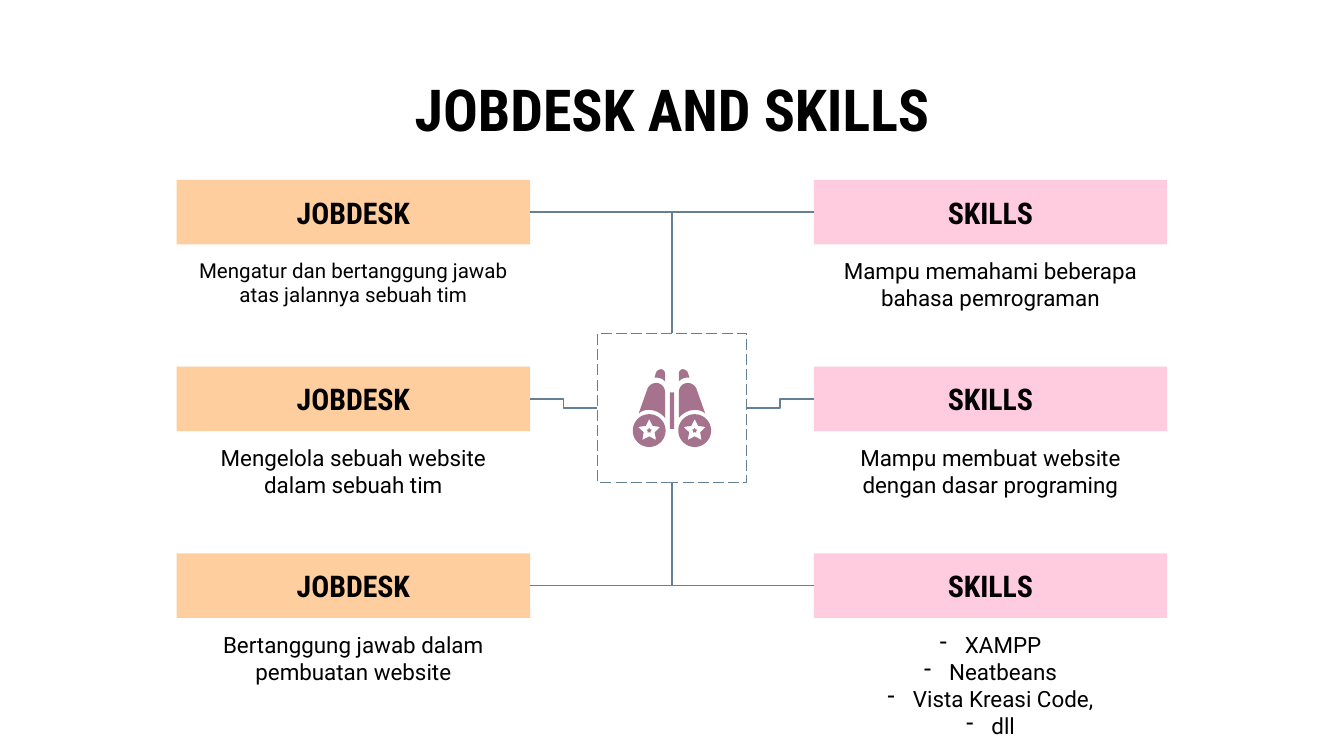
import math

import pptx
import pptx.dml.color
import pptx.enum.dml
import pptx.enum.shapes
import pptx.enum.text
import pptx.oxml
import pptx.oxml.ns
import pptx.util

Cm = pptx.util.Cm
Pt = pptx.util.Pt
RGB = pptx.dml.color.RGBColor
Anchor = pptx.enum.text.MSO_ANCHOR
Kind = pptx.enum.shapes.MSO_SHAPE

BLACK = RGB(0x00, 0x00, 0x00)
PEACH = RGB(0xFF, 0xCE, 0x9E)
PINK = RGB(0xFF, 0xCB, 0xDE)
SLATE = RGB(0x63, 0x80, 0x97)
MAUVE = RGB(0xA5, 0x73, 0x8E)

HEAD = {"name": "Roboto Condensed", "bold": True}
BODY = {"name": "Roboto", "bold": False}

# Card grid, in cm
MID = 12.7
TOP, STEP = 3.4, 3.53
WIDE, HIGH, DEEP = 6.68, 1.22, 1.47
SIDE = 2.82

# Columns: left edge, fill, label, then (size, lines) for each row
COLS = [
    (3.34, PEACH, "JOBDESK", [
        (11, ["Mengatur dan bertanggung jawab atas jalannya sebuah tim"]),
        (12, ["Mengelola sebuah website dalam sebuah tim"]),
        (12, ["Bertanggung jawab dalam pembuatan website"]),
    ]),
    (15.38, PINK, "SKILLS", [
        (12, ["Mampu memahami beberapa bahasa pemrograman"]),
        (12, ["Mampu membuat website dengan dasar programing"]),
        (12, ["XAMPP", "Neatbeans", "Vista Kreasi Code,", "dll"]),
    ]),
]

# Half icon: distance from the middle and height in cm;
# a group of one point is a line, a group of three is a curve
BARREL = [
    [(0.3, 7.24)], [(0.38, 7.24), (0.43, 7.29), (0.46, 7.34)],
    [(0.63, 7.82)], [(0.58, 7.77), (0.51, 7.75), (0.43, 7.75)],
    [(0.3, 7.75), (0.2, 7.82), (0.13, 7.9)],
    [(0.13, 7.42)], [(0.13, 7.32), (0.2, 7.24), (0.3, 7.24)],
]
EYE = [
    [(0.2, 6.98)], [(0.25, 6.98), (0.28, 7.01), (0.3, 7.04)],
    [(0.33, 7.14)], [(0.3, 7.14)],
    [(0.23, 7.14), (0.18, 7.16), (0.13, 7.21)],
    [(0.13, 7.06)], [(0.13, 7.01), (0.18, 6.98), (0.2, 6.98)],
]
LENS = (0.43, 8.14)


def put(item, vals):
    for key, val in vals.items():
        setattr(item, key, val)


def dash(para):
    """Give a paragraph a hanging dash bullet."""
    props = para._p.get_or_add_pPr()
    props.set("marL", str(Cm(0.48)))
    props.set("indent", str(-Cm(0.48)))
    space = pptx.oxml.ns.nsdecls("a")
    for tag in (f'<a:buClr {space}><a:srgbClr val="{BLACK}"/></a:buClr>',
                f'<a:buChar {space} char="-"/>'):
        props.append(pptx.oxml.parse_xml(tag))


def write(shape, lines, size, style, anchor=Anchor.TOP):
    frame = shape.text_frame
    pad = Cm(0.25)
    put(frame, {"word_wrap": True, "vertical_anchor": anchor,
                "margin_left": pad, "margin_right": pad,
                "margin_top": pad, "margin_bottom": pad})
    for num, line in enumerate(lines):
        para = frame.add_paragraph() if num else frame.paragraphs[0]
        para.alignment = pptx.enum.text.PP_ALIGN.CENTER
        if len(lines) > 1:
            dash(para)
        run = para.add_run()
        run.text = line
        put(run.font, {**style, "size": Pt(size)})
        run.font.color.rgb = BLACK


def label(slide, box, lines, size, style):
    write(slide.shapes.add_textbox(*map(Cm, box)), lines, size, style)


def paint(shape, fill):
    shape.shadow.inherit = False
    shape.fill.solid()
    shape.fill.fore_color.rgb = fill
    shape.line.fill.background()


def block(slide, box, fill):
    shape = slide.shapes.add_shape(Kind.RECTANGLE, *map(Cm, box))
    paint(shape, fill)
    return shape


def card(slide, left, top, fill, name, size, lines):
    label(slide, (left, top + HIGH, WIDE, DEEP), lines, size, BODY)
    head = block(slide, (left, top, WIDE, HIGH), fill)
    write(head, [name], 16, HEAD, Anchor.MIDDLE)
    return head


def frame_box(slide):
    box = (MID - SIDE / 2, 6.3, SIDE, SIDE)
    shape = slide.shapes.add_shape(Kind.RECTANGLE, *map(Cm, box))
    shape.shadow.inherit = False
    shape.fill.background()
    shape.line.color.rgb = SLATE
    put(shape.line, {"width": Pt(0.75),
                     "dash_style": pptx.enum.dml.MSO_LINE.LONG_DASH})
    return shape


def link(slide, head, site, hub, port):
    """Join a card to the hub; top and bottom ports need one bend."""
    elbow = pptx.enum.shapes.MSO_CONNECTOR.ELBOW
    line = slide.shapes.add_connector(elbow, 0, 0, 0, 0)
    line.begin_connect(head, site)
    line.end_connect(hub, port)
    line.line.color.rgb = SLATE
    line.line.width = Pt(0.75)
    props = line._element.spPr
    if port in (0, 2):
        props.find(pptx.oxml.ns.qn("a:prstGeom")).set("prst", "bentConnector2")
    space = pptx.oxml.ns.nsdecls("a")
    props.append(pptx.oxml.parse_xml(f"<a:effectLst {space}/>"))


def trace(parts):
    """Turn lines and cubic curves into a list of points."""
    pts = list(parts[0])
    for part in parts[1:]:
        if len(part) == 1:
            pts += part
            continue
        ctrl = [pts[-1], *part]
        for t in (n / 8 for n in range(1, 9)):
            mix = [math.comb(3, k) * t ** k * (1 - t) ** (3 - k)
                   for k in range(4)]
            pts.append(tuple(sum(m * c[axis] for m, c in zip(mix, ctrl))
                             for axis in (0, 1)))
    return pts


def ring(radii, count):
    """Points round the lens, cycling through the radii."""
    pts = []
    for num in range(count):
        turn = 2 * math.pi * num / count
        rad = radii[num % len(radii)]
        pts.append((LENS[0] + rad * math.sin(turn),
                    LENS[1] - rad * math.cos(turn)))
    return pts


def outline(slide, loops, flip):
    loops = [[(Cm(MID + flip * x), Cm(y)) for x, y in loop] for loop in loops]
    build = slide.shapes.build_freeform(*loops[0][0])
    build.add_line_segments(loops[0][1:])
    for loop in loops[1:]:
        build.move_to(*loop[0])
        build.add_line_segments(loop[1:])
    paint(build.convert_to_shape(), MAUVE)


def icon(slide):
    disc = [ring([0.31], 48), ring([0.22, 0.11], 10)]
    for flip in (-1, 1):
        for loops in ([trace(BARREL)], [trace(EYE)], disc,
                      [ring([0.05, 0.03], 10)]):
            outline(slide, loops, flip)
    block(slide, (MID - 0.04, 7.42, 0.08, 0.69), MAUVE)


def main():
    deck = pptx.Presentation()
    put(deck, {"slide_width": Cm(25.4), "slide_height": Cm(14.29)})
    slide = deck.slides.add_slide(deck.slide_layouts[6])

    # Title
    label(slide, (1.26, 1.15, 22.88, 1.57), ["JOBDESK AND SKILLS"], 31, HEAD)

    # Cards, each linked to the central box
    hub = frame_box(slide)
    for col, (left, fill, name, rows) in enumerate(COLS):
        site, near = ((3, 1), (1, 3))[col]
        for row, (size, lines) in enumerate(rows):
            head = card(slide, left, TOP + row * STEP, fill, name, size, lines)
            link(slide, head, site, hub, (0, near, 2)[row])

    # Binoculars
    icon(slide)
    deck.save("out.pptx")


if __name__ == "__main__":
    main()
